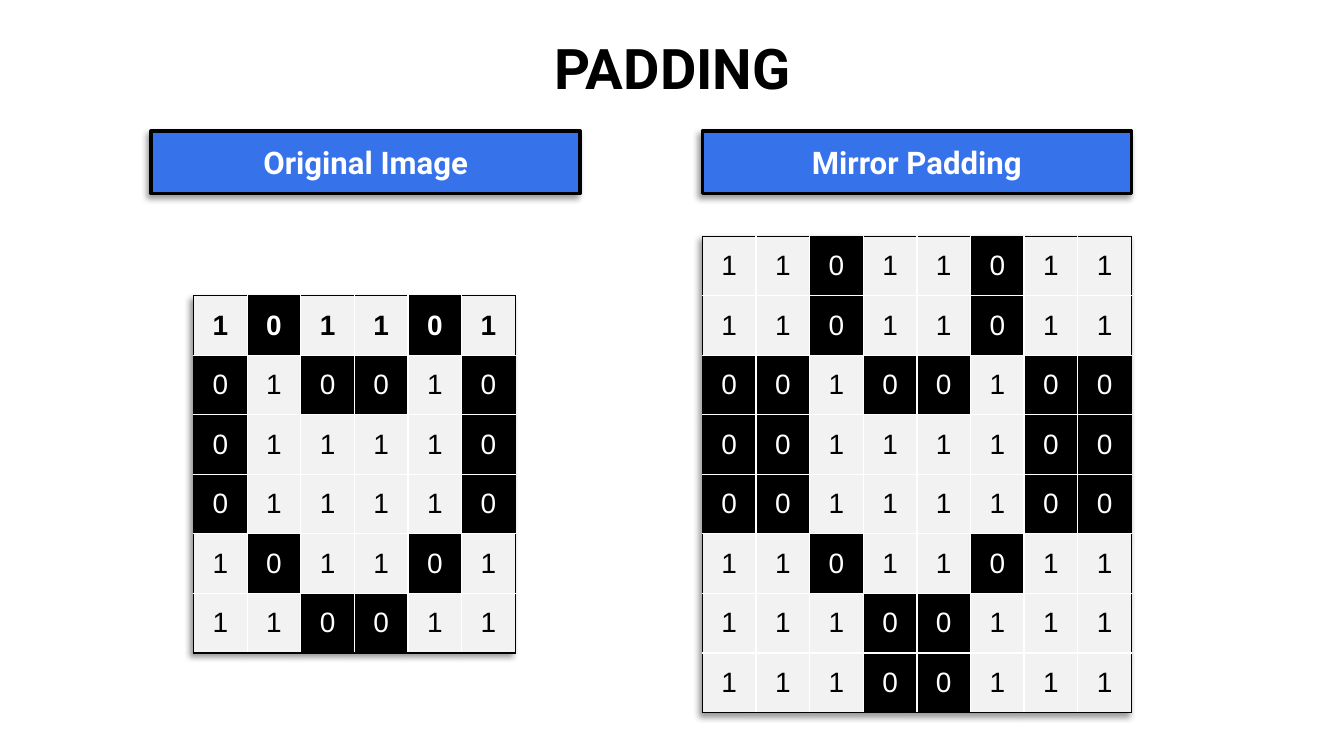
from dataclasses import dataclass

from lxml.etree import SubElement
from pptx import Presentation
from pptx.dml.color import RGBColor
from pptx.enum.shapes import MSO_SHAPE
from pptx.enum.text import MSO_ANCHOR, PP_ALIGN
from pptx.oxml import parse_xml
from pptx.oxml.ns import nsdecls, qn
from pptx.util import Cm, Pt

COLORS = {
    "black": "000000",
    "white": "FFFFFF",
    "blue": "3673EB",
    "light": "F2F2F2",
}
PANEL_WIDTH = Cm(9.73)
CELL_WIDTH = PANEL_WIDTH // 8
CELL_HEIGHT = Cm(1.35)
BANNER_TOP = Cm(2.97)
BANNER_HEIGHT = Cm(1.42)

PIXELS = ["101101", "010010", "011110", "011110", "101101", "110011"]


@dataclass
class Panel:
    label: str
    banner_left: Cm
    grid_left: Cm
    grid_top: Cm
    rows: list[str]
    bold_header: bool = False


def mirror(items):
    """Repeat the first and last item at the edges."""
    return items[:1] + items + items[-1:]


def rgb(name: str) -> RGBColor:
    return RGBColor.from_string(COLORS[name])


def write_text(frame, text: str, *, size: int, color: str, font: str = "Roboto",
               bold: bool = True, spacing: float | None = None) -> None:
    para = frame.paragraphs[0]
    para.alignment = PP_ALIGN.CENTER
    if spacing:
        para.line_spacing = spacing
    span = para.add_run()
    span.text = text
    span.font.name = font
    span.font.size = Pt(size)
    span.font.bold = bold
    span.font.color.rgb = rgb(color)


def shadow_effect():
    return parse_xml(
        f'<a:effectLst {nsdecls("a")}>'
        f'<a:outerShdw blurRad="{Pt(4)}" dist="{Pt(3)}" dir="{135 * 60000}" '
        f'algn="tr" rotWithShape="0"><a:srgbClr val="{COLORS["black"]}">'
        '<a:alpha val="40000"/></a:srgbClr></a:outerShdw></a:effectLst>'
    )


def add_title(page, text: str) -> None:
    box = page.shapes.add_textbox(Cm(1.4), Cm(0.79), Cm(27.71), Cm(1.65))
    box.text_frame.word_wrap = True
    box.text_frame.vertical_anchor = MSO_ANCHOR.BOTTOM
    write_text(box.text_frame, text, size=36, color="black", spacing=0.9)


def add_banner(page, panel: Panel) -> None:
    banner = page.shapes.add_shape(MSO_SHAPE.RECTANGLE, panel.banner_left,
                                   BANNER_TOP, PANEL_WIDTH, BANNER_HEIGHT)
    banner.fill.solid()
    banner.fill.fore_color.rgb = rgb("blue")
    banner.line.color.rgb = rgb("black")
    banner.line.width = Pt(2.25)
    banner._element.spPr.append(shadow_effect())
    banner.text_frame.vertical_anchor = MSO_ANCHOR.MIDDLE
    write_text(banner.text_frame, panel.label, size=20, color="white")


def set_borders(cell, outer_sides: dict[str, bool]) -> None:
    properties = cell._tc.get_or_add_tcPr()
    for side, is_outer in outer_sides.items():
        line = SubElement(properties, qn(f"a:ln{side}"), w=str(Pt(1)))
        fill = SubElement(line, qn("a:solidFill"))
        SubElement(fill, qn("a:srgbClr"), val=COLORS["black" if is_outer else "white"])


def add_grid(page, panel: Panel) -> None:
    row_count, column_count = len(panel.rows), len(panel.rows[0])
    table = page.shapes.add_table(
        row_count, column_count, panel.grid_left, panel.grid_top,
        CELL_WIDTH * column_count, CELL_HEIGHT * row_count).table
    table.first_row = table.horz_banding = False
    table._tbl.tblPr.insert(0, shadow_effect())
    for column in table.columns:
        column.width = CELL_WIDTH
    for row, values in enumerate(panel.rows):
        table.rows[row].height = CELL_HEIGHT
        for column, value in enumerate(values):
            cell = table.cell(row, column)
            set_borders(cell, {"L": column == 0, "R": column == column_count - 1,
                               "T": row == 0, "B": row == row_count - 1})
            back, ink = ("light", "black") if value == "1" else ("black", "white")
            cell.fill.solid()
            cell.fill.fore_color.rgb = rgb(back)
            cell.vertical_anchor = MSO_ANCHOR.MIDDLE
            write_text(cell.text_frame, value, size=18, color=ink, font="Arial",
                       bold=panel.bold_header and row == 0)


def main() -> None:
    deck = Presentation()
    deck.slide_width, deck.slide_height = Cm(30.48), Cm(17.15)
    page = deck.slides.add_slide(deck.slide_layouts[6])

    # Heading
    add_title(page, "PADDING")

    # Labelled pixel grids: the plain image and its mirrored extension
    padded = [mirror(row) for row in mirror(PIXELS)]
    panels = [
        Panel("Original Image", Cm(3.43), Cm(4.39), Cm(6.71), PIXELS, bold_header=True),
        Panel("Mirror Padding", Cm(15.93), Cm(15.93), Cm(5.36), padded),
    ]
    for panel in panels:
        add_banner(page, panel)
        add_grid(page, panel)

    deck.save("out.pptx")


if __name__ == "__main__":
    main()
